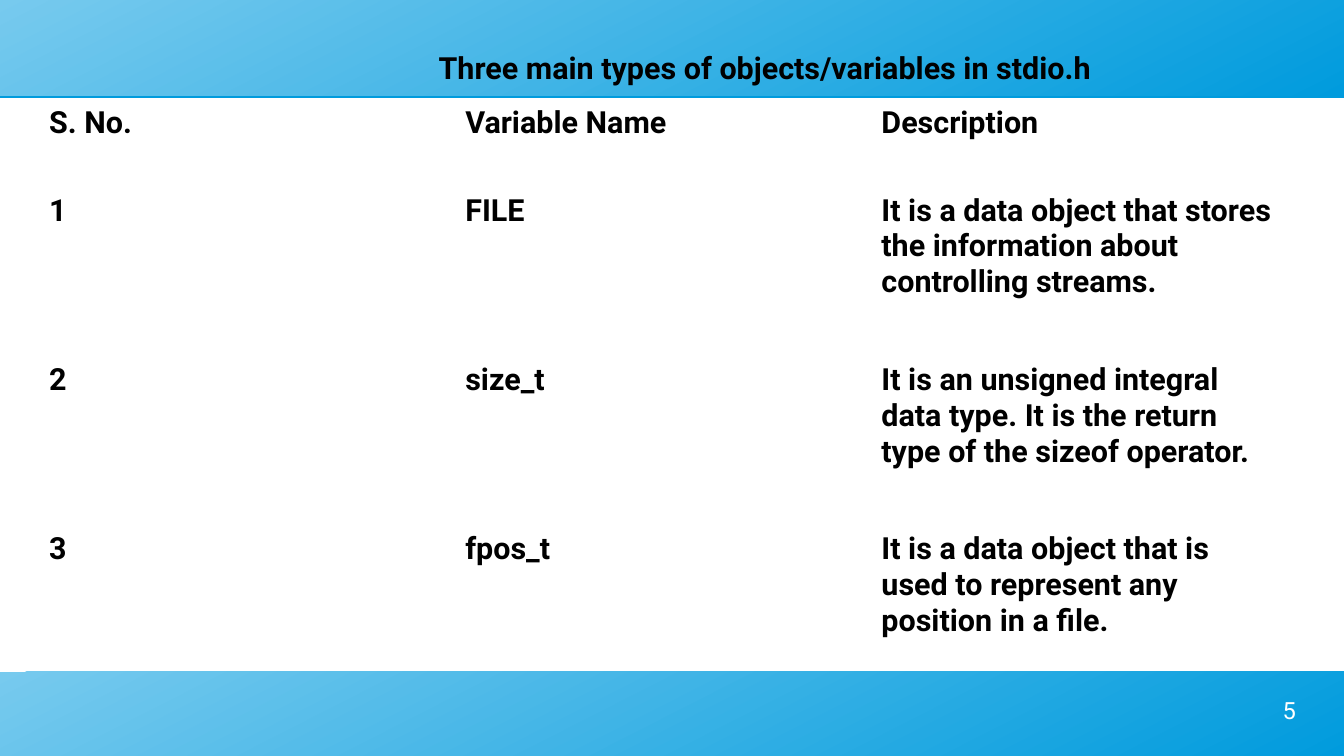
from lxml.etree import SubElement
from pptx import Presentation
from pptx.dml.color import RGBColor
from pptx.enum.shapes import MSO_SHAPE
from pptx.enum.text import PP_ALIGN
from pptx.oxml.ns import qn
from pptx.util import Cm, Pt

BLACK = RGBColor(0x00, 0x00, 0x00)
WHITE = RGBColor(0xFF, 0xFF, 0xFF)
LIGHT_BLUE = RGBColor(0x77, 0xCA, 0xEE)
BLUE = RGBColor(0x00, 0x9B, 0xDD)

WIDTH, HEIGHT = 28, 15.75
NO_GRID_STYLE = "{2D5ABB26-0587-4C30-8999-92F81FD0307C}"


class SlideBuilder:
    """Holds the text style and the current slide; lengths are in centimetres."""

    font_name = "Roboto"

    def __init__(self, slide):
        self.slide = slide

    def style(self, paragraph, size=18, color=BLACK, bold=True):
        font = paragraph.font
        font.name, font.size, font.bold = self.font_name, Pt(size), bold
        font.color.rgb = color

    def band(self, top, height):
        shape = self.slide.shapes.add_shape(
            MSO_SHAPE.RECTANGLE, 0, Cm(top), Cm(WIDTH), Cm(height))
        shape.line.fill.background()
        shape.fill.gradient()
        shape.fill.gradient_angle = 297
        for stop, color, position in zip(
                shape.fill.gradient_stops, (LIGHT_BLUE, BLUE), (0, 1)):
            stop.color.rgb, stop.position = color, position
        # Thin, sharp shadow along the lower edge
        shape.shadow.inherit = False
        effects = shape._element.spPr.find(qn("a:effectLst"))
        shadow = SubElement(effects, qn("a:outerShdw"), blurRad="0",
                            dist=str(Pt(0.9)), dir="5400000", rotWithShape="0")
        SubElement(shadow, qn("a:srgbClr"), val=str(BLUE))

    def text(self, text, left, top, width, height, margins=(0.25, 0.13),
             align=PP_ALIGN.LEFT, **style):
        box = self.slide.shapes.add_textbox(
            Cm(left), Cm(top), Cm(width), Cm(height))
        frame = box.text_frame
        frame.word_wrap = True
        frame.margin_left = frame.margin_right = Cm(margins[0])
        frame.margin_top = frame.margin_bottom = Cm(margins[1])
        paragraph = frame.paragraphs[0]
        paragraph.text, paragraph.alignment = text, align
        self.style(paragraph, **style)

    def table(self, rows, left, top, column_width, row_heights):
        columns = len(rows[0])
        table = self.slide.shapes.add_table(
            len(rows), columns, Cm(left), Cm(top),
            Cm(column_width * columns), Cm(sum(row_heights))).table
        table.first_row = table.horz_banding = False
        table._tbl.tblPr.find(qn("a:tableStyleId")).text = NO_GRID_STYLE
        for column in table.columns:
            column.width = Cm(column_width)
        for row, height, values in zip(table.rows, row_heights, rows):
            row.height = Cm(height)
            for cell, value in zip(row.cells, values):
                cell.text = value
                cell.fill.background()
                self.style(cell.text_frame.paragraphs[0])


presentation = Presentation()
presentation.slide_width, presentation.slide_height = Cm(WIDTH), Cm(HEIGHT)
builder = SlideBuilder(
    presentation.slides.add_slide(presentation.slide_layouts[6]))

# Header and footer bands
builder.band(0, 2)
builder.band(14, HEIGHT - 14)

# Slide number
builder.text("5", 20.5, 14.5, 6.5, 1, margins=(0, 0),
             align=PP_ALIGN.RIGHT, size=14, color=WHITE, bold=False)

# Variables table
builder.table(
    [
        ("S. No.", "Variable Name", "Description"),
        ("1", "FILE", "It is a data object that stores the information "
                      "about controlling streams."),
        ("2", "size_t", "It is an unsigned integral data type. It is the "
                        "return type of the sizeof operator."),
        ("3", "fpos_t", "It is a data object that is used to represent any "
                        "position in a file."),
    ],
    left=0.77, top=2.06, column_width=8.67,
    row_heights=[1.83] + [3.53] * 3)

# Title
builder.text("Three main types of objects/variables in stdio.h",
             8.89, 0.9, 15.6, 1)

presentation.save("out.pptx")
